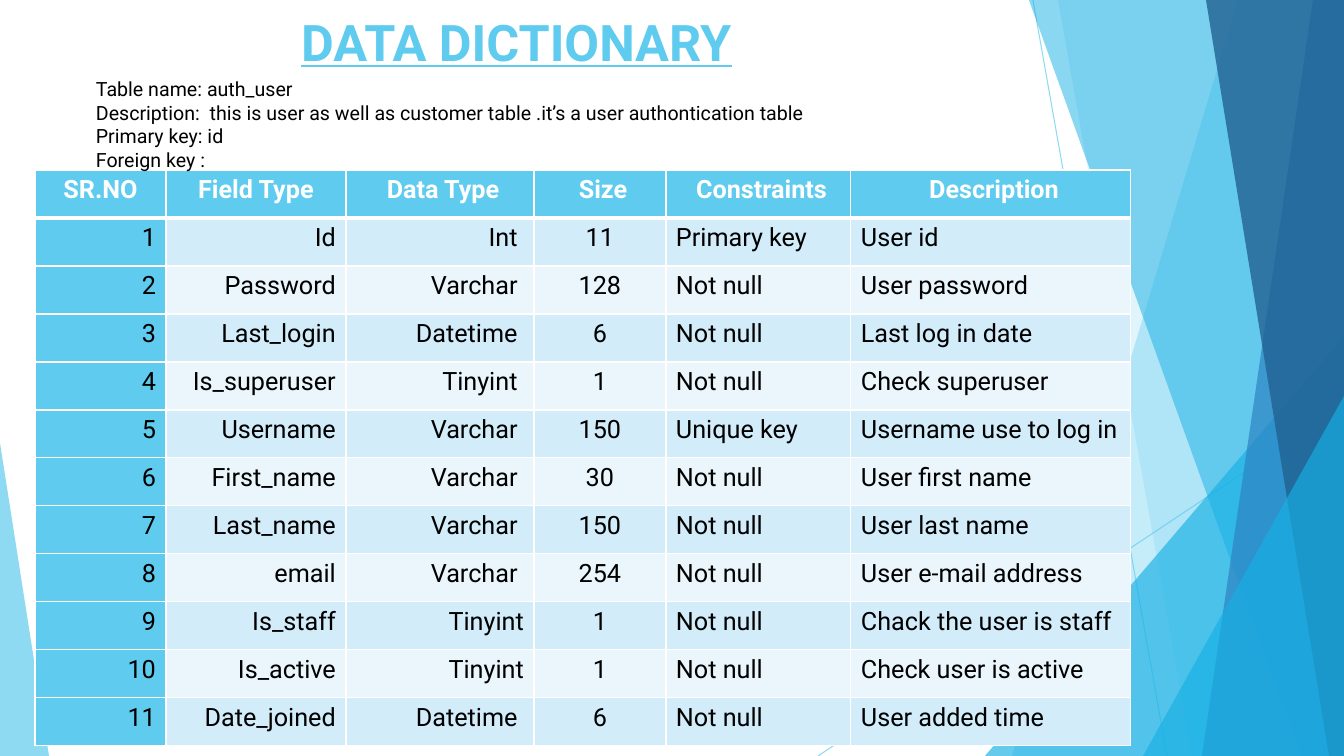
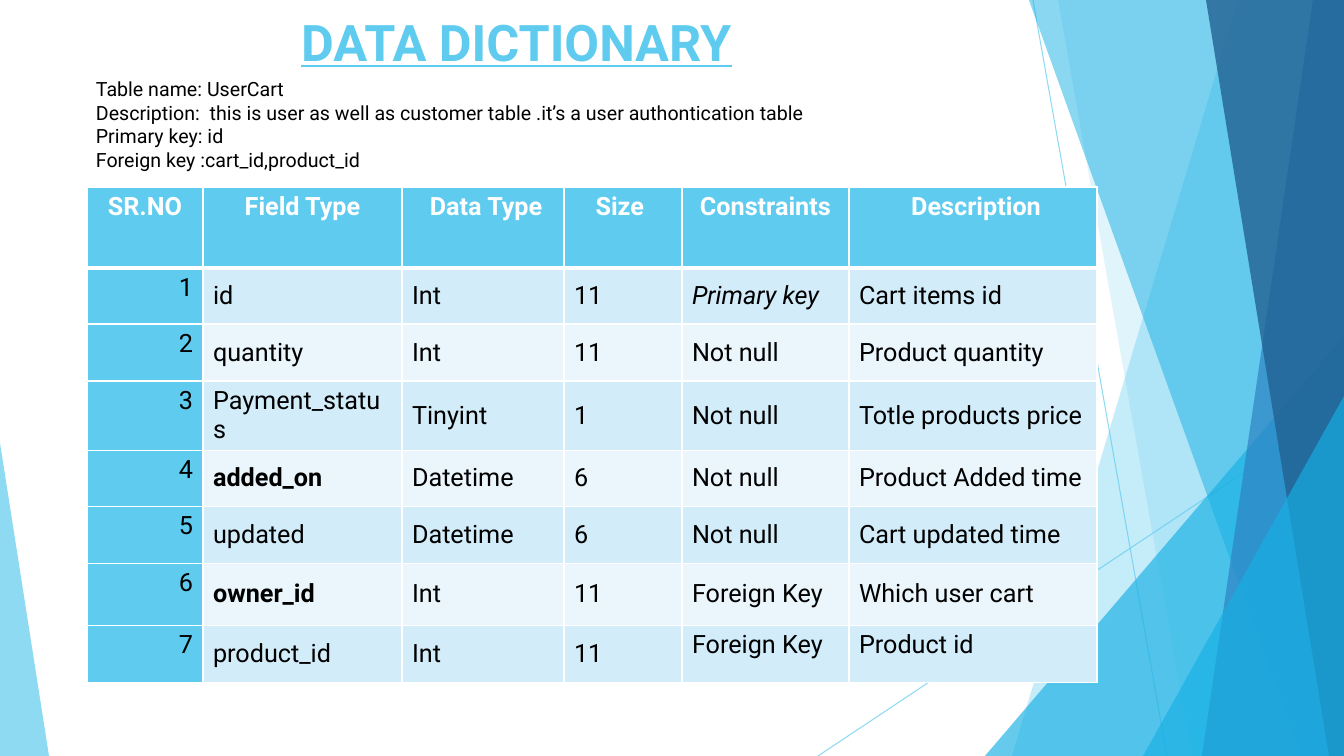
"""Build two data dictionary slides with a shared faceted background."""
from lxml.etree import SubElement
from pptx import Presentation
from pptx.dml.color import RGBColor
from pptx.enum.shapes import MSO_CONNECTOR, MSO_SHAPE
from pptx.enum.text import MSO_ANCHOR, MSO_AUTO_SIZE, PP_ALIGN
from pptx.oxml.ns import qn
from pptx.util import Pt

SCALE = 914400 / 100.8
WIDTH, HEIGHT = 1344, 756
FONT = "Roboto"
COLORS = {
    "sky": "5FCBEF", "cyan": "17B0E4", "blue": "2E83C3", "navy": "226292",
    "odd": "D2ECF9", "even": "EAF6FC", "white": "FFFFFF", "black": "000000",
}
ALIGN = {"l": PP_ALIGN.LEFT, "c": PP_ALIGN.CENTER, "r": PP_ALIGN.RIGHT}


def px(n):
    return round(n * SCALE)


def rgb(name):
    return RGBColor.from_string(COLORS[name])


class Deck:
    def __init__(self):
        self.prs = Presentation()
        self.prs.slide_width, self.prs.slide_height = px(WIDTH), px(HEIGHT)
        self.s = None

    def slide(self, title):
        self.s = self.prs.slides.add_slide(self.prs.slide_layouts[5])
        self.background()
        self.title(title)

    def background(self):
        self.line(1033, 0, 1167, HEIGHT)
        self.line(WIDTH, 406, 818, HEIGHT)
        self.facet(1238, 1012, "sky", 36)
        self.facet(1058, 1192, "sky", 20)
        self.triangle(985, 336, 359, 420, 1, "cyan", 66)
        self.facet(1029, 1301, "cyan", 50)
        self.facet(1313, 1202, "blue", 70)
        self.facet(1206, 1329, "navy", 80)
        self.triangle(1143, 396, 201, 360, 1, "cyan", 66)
        self.triangle(0, 443, 49, 313, 0, "sky", 70)

    def fade(self, sp, alpha):
        for color in sp._element.iter(qn("a:srgbClr")):
            SubElement(color, qn("a:alpha"), val=str(alpha * 1000))

    def paint(self, sp, color, alpha):
        sp.shadow.inherit = False
        sp.fill.solid()
        sp.fill.fore_color.rgb = rgb(color)
        sp.line.fill.background()
        self.fade(sp, alpha)

    def line(self, x1, y1, x2, y2):
        sp = self.s.shapes.add_connector(
            MSO_CONNECTOR.STRAIGHT, px(x1), px(y1), px(x2), px(y2))
        sp.line.color.rgb = rgb("sky")
        sp.line.width = Pt(0.75)
        SubElement(sp._element.spPr, qn("a:effectLst"))
        self.fade(sp, 70)

    def facet(self, top_x, bottom_x, color, alpha):
        outline = self.s.shapes.build_freeform(top_x, 0, scale=SCALE)
        outline.add_line_segments(
            [(WIDTH, 0), (WIDTH, HEIGHT), (bottom_x, HEIGHT)], close=True)
        self.paint(outline.convert_to_shape(), color, alpha)

    def triangle(self, x, y, w, h, apex, color, alpha):
        sp = self.s.shapes.add_shape(
            MSO_SHAPE.ISOSCELES_TRIANGLE, px(x), px(y), px(w), px(h))
        sp.adjustments[0] = apex
        self.paint(sp, color, alpha)

    def style(self, p, size, color, align="l", bold=False, italic=False):
        p.alignment = ALIGN[align]
        for r in p.runs:
            r.font.name, r.font.size = FONT, Pt(size)
            r.font.bold, r.font.italic = bold, italic
            r.font.color.rgb = rgb(color)

    def title(self, text):
        sp = self.s.shapes.title
        sp.left, sp.top, sp.width, sp.height = px(291), px(10), px(534), px(62)
        tf = sp.text_frame
        tf.text = text
        tf.auto_size = MSO_AUTO_SIZE.NONE
        tf.vertical_anchor = MSO_ANCHOR.MIDDLE
        p = tf.paragraphs[0]
        self.style(p, 36, "sky", bold=True)
        p.runs[0].font.underline = True

    def summary(self, name, foreign_key):
        tf = self.s.shapes.add_textbox(px(86), px(72), px(943), px(105)).text_frame
        tf.word_wrap = True
        tf.text = "\n".join([
            f"Table name: {name}",
            "Description:  this is user as well as customer table "
            ".it’s a user authontication table",
            "Primary key: id",
            f"Foreign key :{foreign_key}",
        ])
        for p in tf.paragraphs:
            self.style(p, 14, "black")

    def borders(self, cell, top, bottom):
        tc_pr = cell._tc.get_or_add_tcPr()
        for side, width in (("L", 1), ("R", 1), ("T", top), ("B", bottom)):
            ln = SubElement(tc_pr, qn(f"a:ln{side}"), w=str(Pt(width)))
            fill = SubElement(ln, qn("a:solidFill"))
            SubElement(fill, qn("a:srgbClr"), val=COLORS["white"])

    def table(self, x, y, widths, heights, header, fields, aligns,
              anchor=MSO_ANCHOR.TOP, bold=(), italic=(), raised=()):
        rows = [header] + [(str(n), *f) for n, f in enumerate(fields, 1)]
        table = self.s.shapes.add_table(
            len(rows), len(widths), px(x), px(y),
            px(sum(widths)), px(sum(heights))).table
        for column, width in zip(table.columns, widths):
            column.width = px(width)
        for i, (row, height) in enumerate(zip(rows, heights)):
            table.rows[i].height = px(height)
            for j, text in enumerate(row):
                cell, at = table.cell(i, j), (i, j)
                self.borders(cell, 3 if i == 1 else 1, 3 if i == 0 else 1)
                cell.fill.solid()
                band = "odd" if i % 2 else "even"
                cell.fill.fore_color.rgb = rgb(band if i and j else "sky")
                cell.text = text
                top = i == 0 or j == 0 or at in raised
                cell.vertical_anchor = MSO_ANCHOR.TOP if top else anchor
                self.style(cell.text_frame.paragraphs[0], 18,
                           "black" if i else "white",
                           aligns[j] if i else "c",
                           i == 0 or at in bold, at in italic)


TITLE = "DATA DICTIONARY"
USER_HEADER = ("SR.NO", "Field Type", " Data Type", " Size", " Constraints", " Description")
CART_HEADER = ("SR.NO", "Field Type", " Data Type", "Size ", "Constraints", " Description")
USER_FIELDS = [
    ("Id", "Int ", "11", "Primary key", "User id"),
    ("Password", "Varchar ", "128", "Not null", "User password"),
    ("Last_login", "Datetime ", "6", "Not null", "Last log in date"),
    ("Is_superuser", "Tinyint ", "1", "Not null", "Check superuser"),
    ("Username", "Varchar ", "150", "Unique key", "Username use to log in"),
    ("First_name", "Varchar ", "30", "Not null", "User first name"),
    ("Last_name", "Varchar ", "150", "Not null", "User last name"),
    ("email", "Varchar ", "254", "Not null", "User e-mail address"),
    ("Is_staff", "Tinyint", "1", "Not null", "Chack the user is staff"),
    ("Is_active", "Tinyint", "1", "Not null", "Check user is active"),
    ("Date_joined", "Datetime ", "6", "Not null", "User added time"),
]
CART_FIELDS = [
    ("id", "Int", "11", "Primary key", "Cart items id"),
    ("quantity", "Int", "11", "Not null", "Product quantity"),
    ("Payment_status", "Tinyint", "1", "Not null", "Totle products price"),
    ("added_on", "Datetime", "6", "Not null", "Product Added time"),
    ("updated", "Datetime", "6", "Not null", "Cart updated time"),
    ("owner_id", "Int", "11", "Foreign Key", "Which user cart"),
    ("product_id", "Int", "11", "Foreign Key", "Product id"),
]

deck = Deck()

deck.slide(TITLE)
deck.table(35, 170, [131, 180, 188, 132, 185, 280], [48] * 12,
           USER_HEADER, USER_FIELDS, "rrrcll")
deck.summary("auth_user", "")

deck.slide(TITLE)
deck.table(87, 187, [116, 199, 162, 118, 167, 248],
           [81, 56, 57, 69, 56, 57, 62, 57],
           CART_HEADER, CART_FIELDS, "rlllll", MSO_ANCHOR.MIDDLE,
           bold={(4, 1), (6, 1)}, italic={(1, 4)}, raised={(7, 4), (7, 5)})
deck.summary("UserCart", "cart_id,product_id")

deck.prs.save("out.pptx")
